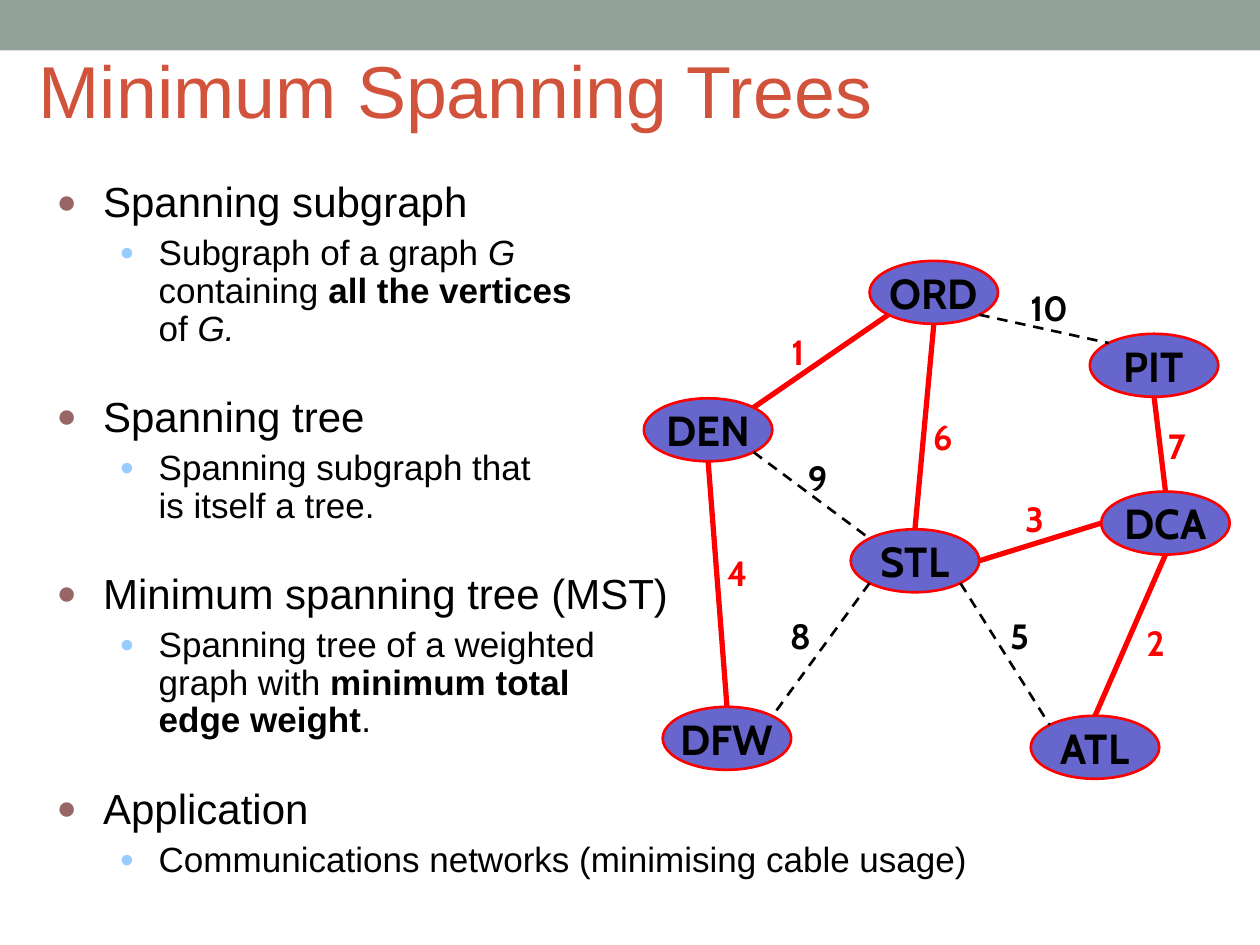
from collections import namedtuple
from lxml.etree import SubElement
from pptx import Presentation
from pptx.dml.color import RGBColor
from pptx.enum.dml import MSO_LINE_DASH_STYLE as Dash
from pptx.enum.shapes import MSO_CONNECTOR as Link, MSO_SHAPE as Preset
from pptx.enum.text import MSO_ANCHOR as Anchor, MSO_AUTO_SIZE as Fit, PP_ALIGN as Align
from pptx.oxml.ns import qn
from pptx.util import Cm, Pt

Box = namedtuple("Box", "left top width height")

COLOURS = {
    "banner": "93A299", "title": "D2533C", "text": "000000",
    "node": "6666CC", "tree": "FF0000",
    "bullet": "996666", "sub_bullet": "99CCFF",
}
PLAIN, BOLD, ITALIC = {}, {"bold": True}, {"italic": True}

TOPICS = [
    ("Spanning subgraph", [
        ("Subgraph of a graph ", PLAIN), ("G\n", ITALIC), ("containing ", PLAIN),
        ("all the vertices\n", BOLD), ("of ", PLAIN), ("G.", ITALIC)]),
    ("Spanning tree", [("Spanning subgraph that\nis itself a tree.", PLAIN)]),
    ("Minimum spanning tree (MST)", [
        ("Spanning tree of a weighted\ngraph with ", PLAIN),
        ("minimum total\nedge weight", BOLD), (".", PLAIN)]),
    ("Application", [("Communications networks (minimising cable usage)", PLAIN)]),
]
LEVELS = [
    {"size": 24, "margin": 0.94, "indent": -0.94, "bullet": "bullet", "scale": 80},
    {"size": 20, "margin": 2.06, "indent": -0.79, "bullet": "sub_bullet", "scale": 70},
]

NODE_WIDTH, NODE_HEIGHT = 2.59, 1.27
NODES = {
    "ORD": (4.55, 0), "PIT": (8.99, 1.47), "ATL": (7.8, 9.17), "STL": (4.17, 5.41),
    "DEN": (0, 2.77), "DFW": (0.38, 8.99), "DCA": (9.22, 4.65),
}
DIAGONAL = 0.5 ** 0.5
SITES = {
    "top": (0, -1), "bottom": (0, 1), "left": (-1, 0), "right": (1, 0),
    "top left": (-DIAGONAL, -DIAGONAL), "top right": (DIAGONAL, -DIAGONAL),
    "bottom left": (-DIAGONAL, DIAGONAL), "bottom right": (DIAGONAL, DIAGONAL),
}
EDGES = [
    ("ORD", "bottom left", "DEN", "top right", "1", (2.62, 1.27), True),
    ("ORD", "bottom", "STL", "top", "6", (5.54, 2.99), True),
    ("DCA", "left", "STL", "right", "3", (7.39, 4.65), True),
    ("PIT", "bottom", "DCA", "top", "7", (10.26, 3.17), True),
    ("DEN", "bottom", "DFW", "top", "4", (1.4, 5.74), True),
    ("DCA", "bottom", "ATL", "top", "2", (9.83, 7.14), True),
    ("ORD", "bottom right", "PIT", "top left", "10", (7.47, 0.4), False),
    ("STL", "bottom right", "ATL", "top left", "5", (7.09, 7.01), False),
    ("STL", "bottom left", "DFW", "top right", "8", (2.67, 7.01), False),
    ("DEN", "bottom right", "STL", "top left", "9", (3.02, 3.81), False),
]


def rgb(name):
    return RGBColor.from_string(COLOURS[name])


def apply(target, values):
    for key, value in values.items():
        setattr(target, key, value)


def add_span(para, text, font, size, colour, style):
    for number, line in enumerate(text.split("\n")):
        if number:
            para.add_line_break()
        if line:
            span = para.add_run()
            span.text = line
            apply(span.font, {"name": font, "size": Pt(size), **style})
            span.font.color.rgb = rgb(colour)


def add_text_box(slide, box, **frame_format):
    frame = slide.shapes.add_textbox(*map(Cm, box)).text_frame
    apply(frame, {"word_wrap": True, **frame_format})
    return frame


def add_banner(slide, box):
    banner = slide.shapes.add_shape(Preset.RECTANGLE, *map(Cm, box))
    banner.shadow.inherit = False
    banner.fill.solid()
    banner.fill.fore_color.rgb = rgb("banner")
    banner.line.fill.background()


def add_title(slide, box):
    frame = add_text_box(slide, box, vertical_anchor=Anchor.MIDDLE)
    add_span(frame.paragraphs[0], "Minimum Spanning Trees", "Arial", 42, "title", PLAIN)


def format_bullet(para, level):
    props = para._p.get_or_add_pPr()
    props.set("marL", str(Cm(level["margin"])))
    props.set("indent", str(Cm(level["indent"])))
    colour = SubElement(props, qn("a:buClr"))
    SubElement(colour, qn("a:srgbClr"), val=COLOURS[level["bullet"]])
    SubElement(props, qn("a:buSzPct"), val=str(level["scale"] * 1000))
    SubElement(props, qn("a:buFont"), typeface="Arial")
    SubElement(props, qn("a:buChar"), char="●")


def add_topics(slide, box):
    frame = add_text_box(slide, box)
    for number, (heading, details) in enumerate(TOPICS):
        for depth, spans in enumerate([[(heading, PLAIN)], details]):
            first = number == depth == 0
            para = frame.paragraphs[0] if first else frame.add_paragraph()
            gap = 5 if depth else 6 if first else 27
            apply(para, {"level": depth, "line_spacing": 0.9, "space_before": Pt(gap)})
            format_bullet(para, LEVELS[depth])
            for text, style in spans:
                add_span(para, text, "Arial", LEVELS[depth]["size"], "text", style)


def add_node(slide, box, name):
    node = slide.shapes.add_shape(Preset.OVAL, *map(Cm, box))
    node.shadow.inherit = False
    node.fill.solid()
    node.fill.fore_color.rgb = rgb("node")
    node.line.color.rgb = rgb("tree")
    node.line.width = Pt(1.5)
    apply(node.text_frame, {"word_wrap": False, "vertical_anchor": Anchor.MIDDLE})
    para = node.text_frame.paragraphs[0]
    para.alignment = Align.CENTER
    add_span(para, name, "Cabin", 24, "text", BOLD)
    return node


def site_point(node, site):
    across, down = SITES[site]
    return (node.left + round(node.width * (1 + across) / 2),
            node.top + round(node.height * (1 + down) / 2))


def add_edge(slide, start, start_site, end, end_site, in_tree):
    edge = slide.shapes.add_connector(
        Link.STRAIGHT, *site_point(start, start_site), *site_point(end, end_site))
    if end_site == "top":
        edge.end_connect(end, 0)
    edge.line.color.rgb = rgb("tree" if in_tree else "text")
    edge.line.width = Pt(3 if in_tree else 1.5)
    if not in_tree:
        edge.line.dash_style = Dash.DASH
    SubElement(edge._element.spPr, qn("a:effectLst"))


def add_weight(slide, box, weight, in_tree):
    frame = add_text_box(slide, box, word_wrap=False, auto_size=Fit.SHAPE_TO_FIT_TEXT)
    para = frame.paragraphs[0]
    para.alignment = Align.CENTER
    add_span(para, weight, "Cabin", 20, "tree" if in_tree else "text", BOLD)


def add_graph(slide, box):
    nodes = {
        name: add_node(slide, Box(box.left + x, box.top + y, NODE_WIDTH, NODE_HEIGHT), name)
        for name, (x, y) in NODES.items()
    }
    for start, start_site, end, end_site, _, _, in_tree in EDGES:
        add_edge(slide, nodes[start], start_site, nodes[end], end_site, in_tree)
    for *_, weight, (x, y), in_tree in EDGES:
        width = 0.54 + 0.43 * len(weight)
        add_weight(slide, Box(box.left + x, box.top + y, width, 1.12), weight, in_tree)


def main():
    deck = Presentation()
    apply(deck, {"slide_width": Cm(25.4), "slide_height": Cm(19.05)})
    page = deck.slides.add_slide(deck.slide_layouts[6])
    add_banner(page, Box(0, 0, 25.4, 1.02))
    add_graph(page, Box(12.98, 5.26, 11.81, 10.44))
    add_title(page, Box(0.53, 0.53, 22.28, 2.54))
    add_topics(page, Box(0.89, 3.53, 23.6, 14.6))
    deck.save("out.pptx")


if __name__ == "__main__":
    main()
